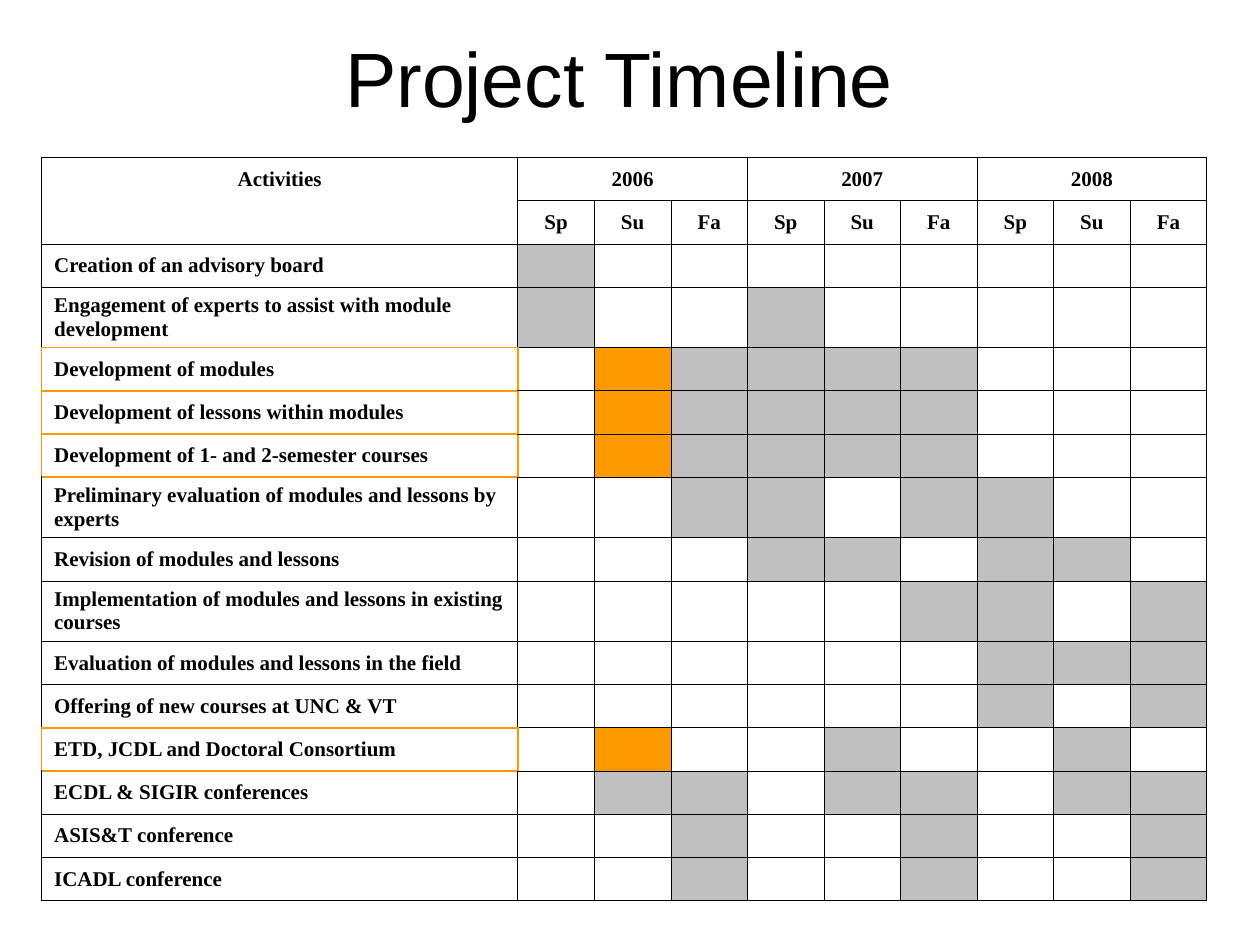
from pptx import Presentation, util as u
from pptx.dml.color import RGBColor
from pptx.enum import text
from pptx.oxml.ns import qn
from lxml import etree

COLORS = {"black": "000000", "gray": "C0C0C0", "orange": "FF9900"}
FILLS = {"g": "gray", "o": "orange"}
THIN, THICK = ("black", 0.45), ("orange", 0.96)
SEASONS = ["Sp", "Su", "Fa"]
YEARS = ["2006", "2007", "2008"]
HEADER_ROWS = 2

# One letter per season: g = gray, o = orange, . = empty
ACTIVITIES = [
    ("Creation of an advisory board", "g........"),
    ("Engagement of experts to assist with module development", "g..g....."),
    ("Development of modules", ".ogggg..."),
    ("Development of lessons within modules", ".ogggg..."),
    ("Development of 1- and 2-semester courses", ".ogggg..."),
    ("Preliminary evaluation of modules and lessons by experts", "..gg.gg.."),
    ("Revision of modules and lessons", "...gg.gg."),
    ("Implementation of modules and lessons in existing courses", ".....gg.g"),
    ("Evaluation of modules and lessons in the field", "......ggg"),
    ("Offering of new courses at UNC & VT", "......g.g"),
    ("ETD, JCDL and Doctoral Consortium", ".o..g..g."),
    ("ECDL & SIGIR conferences", ".gg.gg.gg"),
    ("ASIS&T conference", "..g..g..g"),
    ("ICADL conference", "..g..g..g"),
]
TWO_LINE_ROWS = {3, 7, 9}
ROWS = HEADER_ROWS + len(ACTIVITIES)
COLUMNS = 1 + len(YEARS) * len(SEASONS)

# Table measures in inches
LEFT, TOP, WIDTH, HEIGHT = 0.33, 1.25, 9.25, 5.9
ACTIVITY_WIDTH, TWO_LINE_HEIGHT = 3.78, 0.48


def write_text(frame, content, *, size, font, bold=False,
               align=text.PP_ALIGN.CENTER):
    paragraph = frame.paragraphs[0]
    paragraph.alignment = align
    run = paragraph.add_run()
    run.text = content
    run.font.size = u.Pt(size)
    run.font.name = font
    run.font.bold = bold
    run.font.color.rgb = RGBColor.from_string(COLORS["black"])


def add_title(slide):
    title = slide.shapes.title
    title.left, title.top = u.Inches(0.5), u.Inches(0.12)
    title.width, title.height = u.Inches(9), u.Inches(0.97)
    title.text_frame.vertical_anchor = text.MSO_ANCHOR.MIDDLE
    write_text(title.text_frame, "Project Timeline ", size=44, font="Arial")


def add_grid(slide):
    frame = slide.shapes.add_table(ROWS, COLUMNS, u.Inches(LEFT), u.Inches(TOP),
                                   u.Inches(WIDTH), u.Inches(HEIGHT))
    table = frame.table
    table.first_row = table.horz_banding = False
    season_width = (WIDTH - ACTIVITY_WIDTH) / (COLUMNS - 1)
    for index, column in enumerate(table.columns):
        column.width = u.Inches(season_width if index else ACTIVITY_WIDTH)
    tall = len(TWO_LINE_ROWS)
    row_height = (HEIGHT - tall * TWO_LINE_HEIGHT) / (ROWS - tall)
    for index, row in enumerate(table.rows):
        row.height = u.Inches(TWO_LINE_HEIGHT if index in TWO_LINE_ROWS else row_height)
    return table


def is_highlighted(row):
    index = row - HEADER_ROWS
    return 0 <= index < len(ACTIVITIES) and "o" in ACTIVITIES[index][1]


def cell_borders(row, column):
    borders = dict.fromkeys("LRTB", THIN)
    if column == 0:
        if is_highlighted(row):
            borders = dict.fromkeys("LRTB", THICK)
        if is_highlighted(row - 1):
            borders["T"] = THICK
        if is_highlighted(row + 1):
            borders["B"] = THICK
        if row < HEADER_ROWS:
            borders["B" if row == 0 else "T"] = None
    elif row == 0:
        # Each year spans its seasons without inner lines
        position = (column - 1) % len(SEASONS)
        if position > 0:
            borders["L"] = None
        if position < len(SEASONS) - 1:
            borders["R"] = None
    elif column == 1 and is_highlighted(row):
        borders["L"] = THICK
    return borders


def draw_borders(cell, borders):
    properties = cell._tc.get_or_add_tcPr()
    for side, border in borders.items():
        line = etree.SubElement(properties, qn(f"a:ln{side}"))
        if border is None:
            etree.SubElement(line, qn("a:noFill"))
            continue
        color, width = border
        line.set("w", str(u.Pt(width)))
        fill = etree.SubElement(line, qn("a:solidFill"))
        etree.SubElement(fill, qn("a:srgbClr"), val=COLORS[color])


def cell_text(row, column):
    if column == 0:
        if row >= HEADER_ROWS:
            return ACTIVITIES[row - HEADER_ROWS][0]
        return "Activities" if row == 0 else ""
    year, season = divmod(column - 1, len(SEASONS))
    if row == 0:
        return YEARS[year] if season == 1 else ""
    return SEASONS[season] if row == 1 else ""


def format_cell(cell, row, column):
    draw_borders(cell, cell_borders(row, column))
    cell.vertical_anchor = text.MSO_ANCHOR.MIDDLE

    # Season shading
    mark = "."
    if row >= HEADER_ROWS and column:
        mark = ACTIVITIES[row - HEADER_ROWS][1][column - 1]
    if mark in FILLS:
        cell.fill.solid()
        cell.fill.fore_color.rgb = RGBColor.from_string(COLORS[FILLS[mark]])
    else:
        cell.fill.background()

    # Wording; empty cells need a small size to keep the row height
    content = cell_text(row, column)
    if content:
        is_label = column == 0 and row >= HEADER_ROWS
        align = text.PP_ALIGN.LEFT if is_label else text.PP_ALIGN.CENTER
        write_text(cell.text_frame, content, size=12, font="Times New Roman",
                   bold=True, align=align)
    else:
        paragraph = cell.text_frame.paragraphs[0]
        etree.SubElement(paragraph._p, qn("a:endParaRPr"), sz="1200")


def main():
    presentation = Presentation()
    presentation.slide_width = u.Inches(10)
    presentation.slide_height = u.Inches(7.5)
    slide = presentation.slides.add_slide(presentation.slide_layouts[5])
    add_title(slide)
    table = add_grid(slide)
    for row in range(ROWS):
        for column in range(COLUMNS):
            format_cell(table.cell(row, column), row, column)
    presentation.save("out.pptx")


if __name__ == "__main__":
    main()
